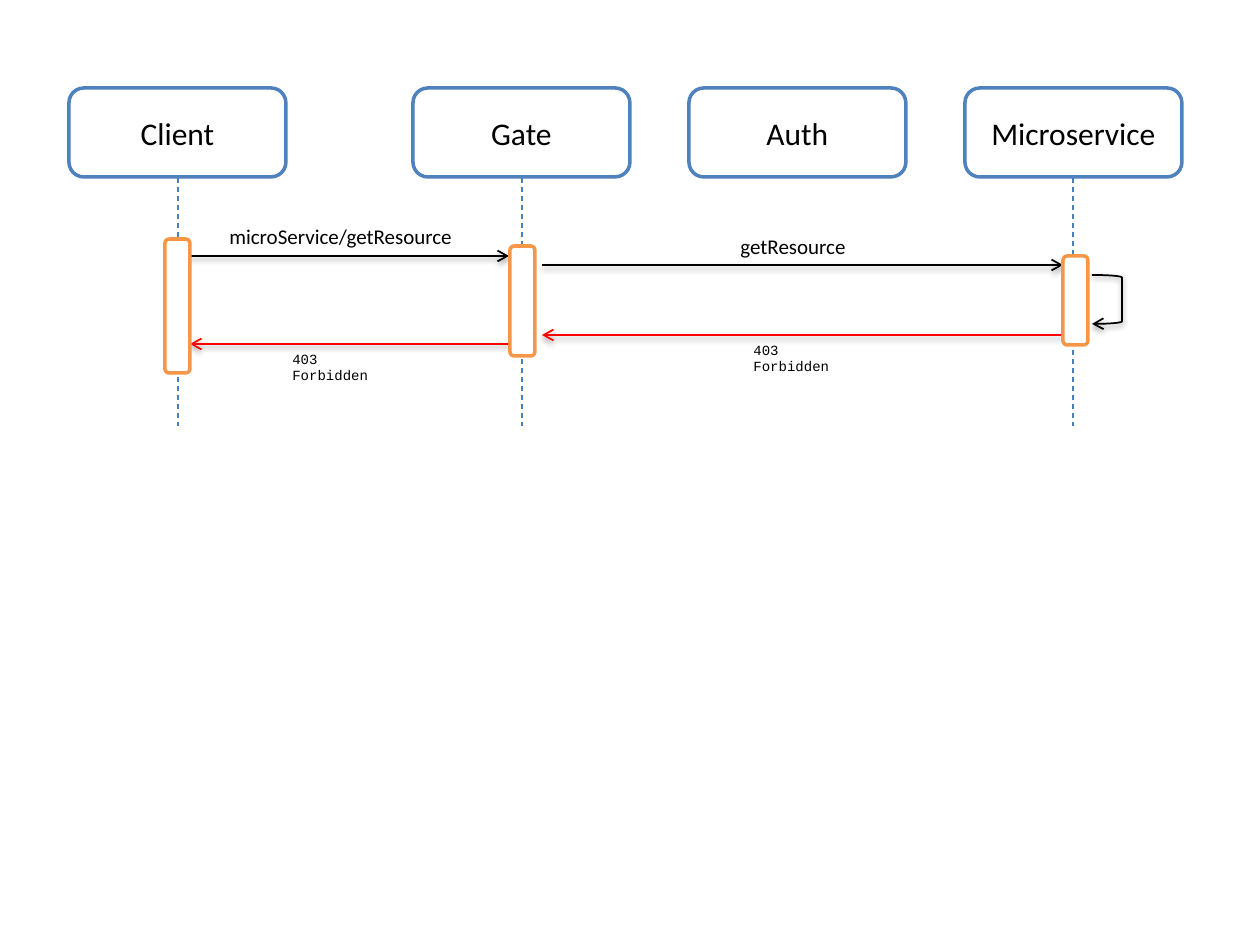
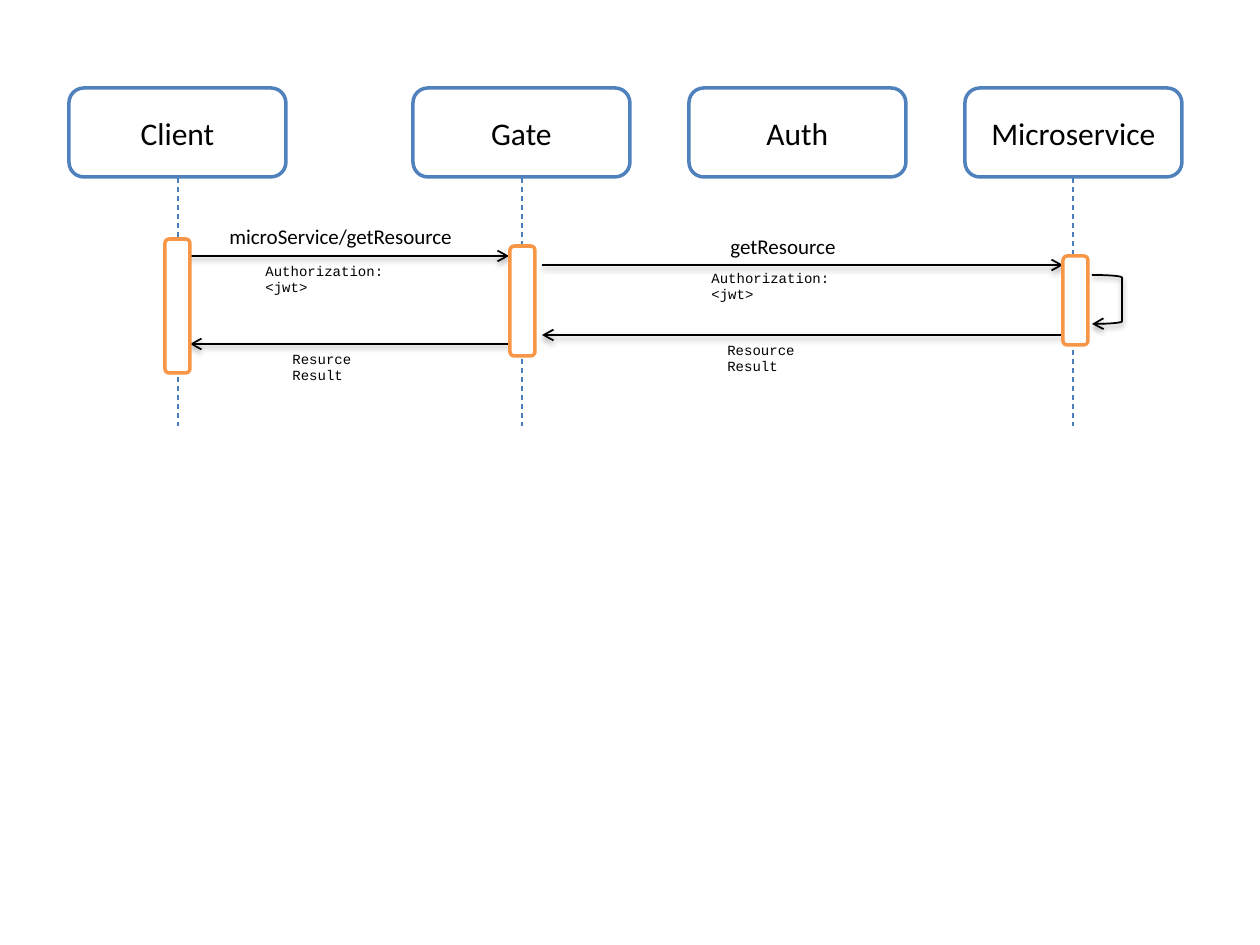
"""Build two sequence diagrams: a forbidden request and an authorized one."""
from pptx import Presentation
from pptx.dml.color import RGBColor as RGB
from pptx.enum.dml import MSO_LINE as Dash
from pptx.enum.shapes import MSO_CONNECTOR as Conn, MSO_SHAPE as Kind
from pptx.enum.text import MSO_ANCHOR as Anchor, MSO_AUTO_SIZE as Auto, PP_ALIGN as Align
from pptx.oxml import parse_xml
from pptx.oxml.ns import nsdecls, qn
from pptx.util import Pt
from lxml.etree import SubElement

SCALE = 914400 / 126
BLACK, WHITE, RED = RGB(0, 0, 0), RGB(255, 255, 255), RGB(255, 0, 0)
THEME = {
    "actor": RGB(0x4F, 0x81, 0xBD),
    "life": RGB(0x4B, 0x7E, 0xBC),
    "bar": RGB(0xF7, 0x96, 0x46),
    "head": {"name": "Calibri", "size": Pt(18)},
    "label": {"name": "Calibri", "size": Pt(12)},
    "note": {"name": "Courier New", "size": Pt(8)},
}
SHADOW = (
    f'<a:effectLst {nsdecls("a")}><a:outerShdw blurRad="40000" dist="20000" '
    'dir="5400000" rotWithShape="0"><a:srgbClr val="000000">'
    '<a:alpha val="38000"/></a:srgbClr></a:outerShdw></a:effectLst>'
)

ACTORS = [("Gate", 413), ("Auth", 689), ("Microservice", 965), ("Client", 69)]
LIVES = [178, 522, 1073]
BARS = [(1063, 256, 89), (510, 246, 110), (165, 239, 134)]
CALLS = [(184, 509, 256), (542, 1063, 265)]
REPLIES = [(513, 190, 344), (1063, 542, 335)]
SCENES = [
    (RED, [
        ("note", "403 Forbidden", 741, 335, 126),
        ("note", "403 Forbidden", 280, 344, 126),
        ("label", "microService/getResource", 217, 217, 251),
        ("label", "getResource", 728, 227, 132),
    ]),
    (BLACK, [
        ("note", "Authorization: <jwt>", 253, 256, 180),
        ("note", "Authorization: <jwt>", 699, 263, 180),
        ("note", "Resource Result", 715, 335, 141),
        ("note", "Resurce Result", 280, 344, 134),
        ("label", "microService/getResource", 217, 217, 251),
        ("label", "getResource", 718, 227, 132),
    ]),
]


def px(*nums):
    return [round(num * SCALE) for num in nums]


def style(item, tint, width, end=None):
    item.line.color.rgb = tint
    item.line.width = Pt(width)
    props = item.element.spPr
    for old in props.findall(qn("a:effectLst")):
        props.remove(old)
    if end:
        SubElement(props.find(qn("a:ln")), qn(f"a:{end}"), type="arrow")
        props.append(parse_xml(SHADOW))
    else:
        SubElement(props, qn("a:effectLst"))


deck = Presentation()
deck.slide_width, deck.slide_height = px(1260, 945)

for tone, texts in SCENES:
    shapes = deck.slides.add_slide(deck.slide_layouts[6]).shapes

    for name, left in ACTORS:
        box = shapes.add_shape(Kind.ROUNDED_RECTANGLE, *px(left, 88, 217, 89))
        box.fill.solid()
        box.fill.fore_color.rgb = WHITE
        style(box, THEME["actor"], 2)
        frame = box.text_frame
        frame.vertical_anchor = Anchor.MIDDLE
        line = frame.paragraphs[0]
        line.alignment = Align.CENTER
        run = line.add_run()
        run.text = name
        run.font.color.rgb = BLACK
        for key, val in THEME["head"].items():
            setattr(run.font, key, val)

    for mid in LIVES:
        life = shapes.add_connector(Conn.STRAIGHT, *px(mid, 178, mid, 426))
        life.line.dash_style = Dash.DASH
        style(life, THEME["life"], 0.75)

    for tint, group in ((BLACK, CALLS), (tone, REPLIES)):
        for start, stop, top in group:
            arrow = shapes.add_connector(Conn.STRAIGHT, *px(start, top, stop, top))
            style(arrow, tint, 1, "tailEnd")

    for left, top, high in BARS:
        bar = shapes.add_shape(Kind.ROUNDED_RECTANGLE, *px(left, top, 25, high))
        bar.fill.solid()
        bar.fill.fore_color.rgb = WHITE
        style(bar, THEME["bar"], 2)

    loop = shapes.add_shape(Kind.RIGHT_BRACKET, *px(1092, 275, 30, 49))
    loop.fill.background()
    loop.element.spPr.find(qn("a:xfrm")).set("flipV", "1")
    style(loop, BLACK, 1, "headEnd")

    for role, words, left, top, wide in texts:
        high = 38 if role == "label" else 30
        frame = shapes.add_textbox(*px(left, top, wide, high)).text_frame
        frame.word_wrap = role == "note"
        frame.auto_size = Auto.SHAPE_TO_FIT_TEXT
        run = frame.paragraphs[0].add_run()
        run.text = words
        run.font.color.rgb = BLACK
        for key, val in THEME[role].items():
            setattr(run.font, key, val)

deck.save("out.pptx")
